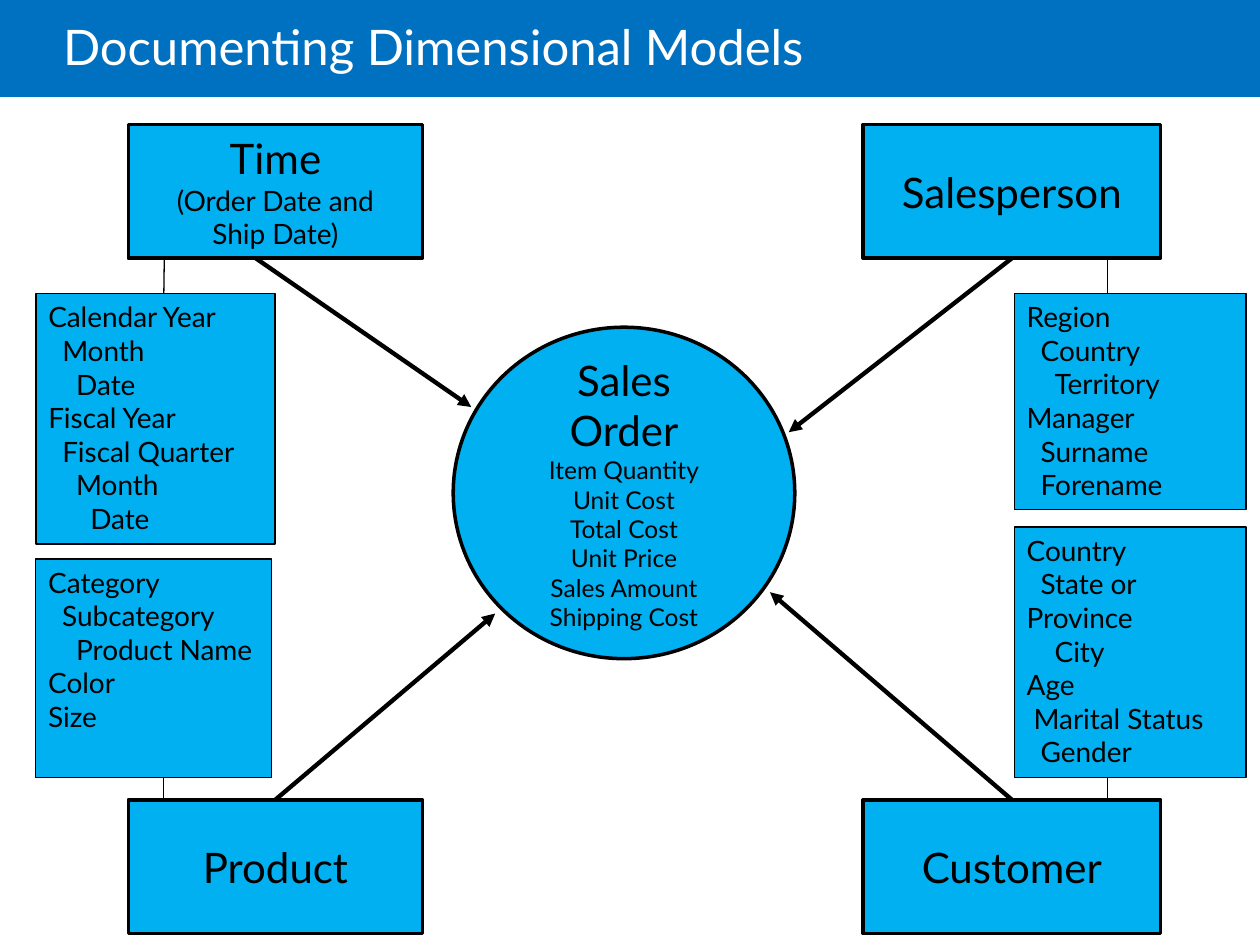
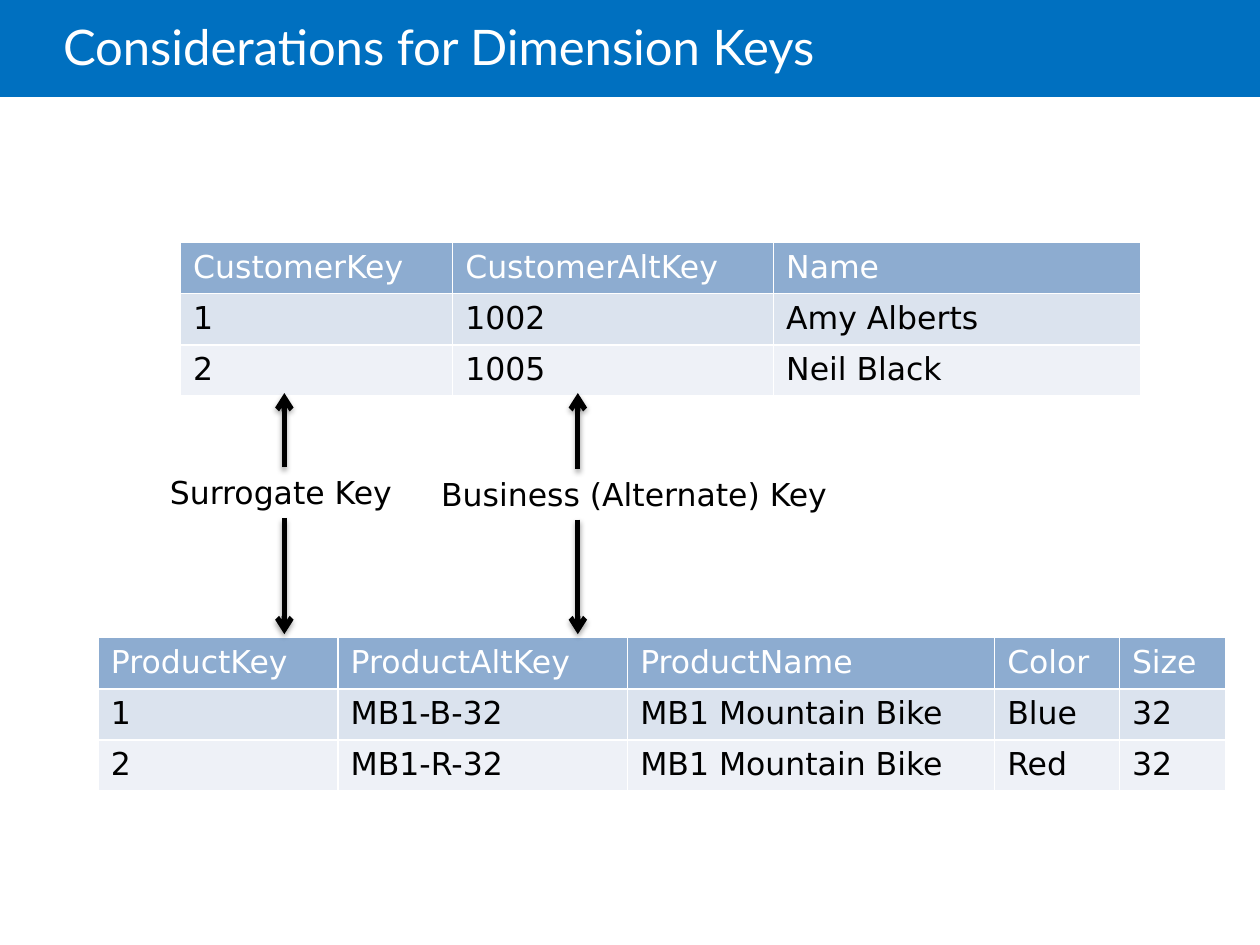
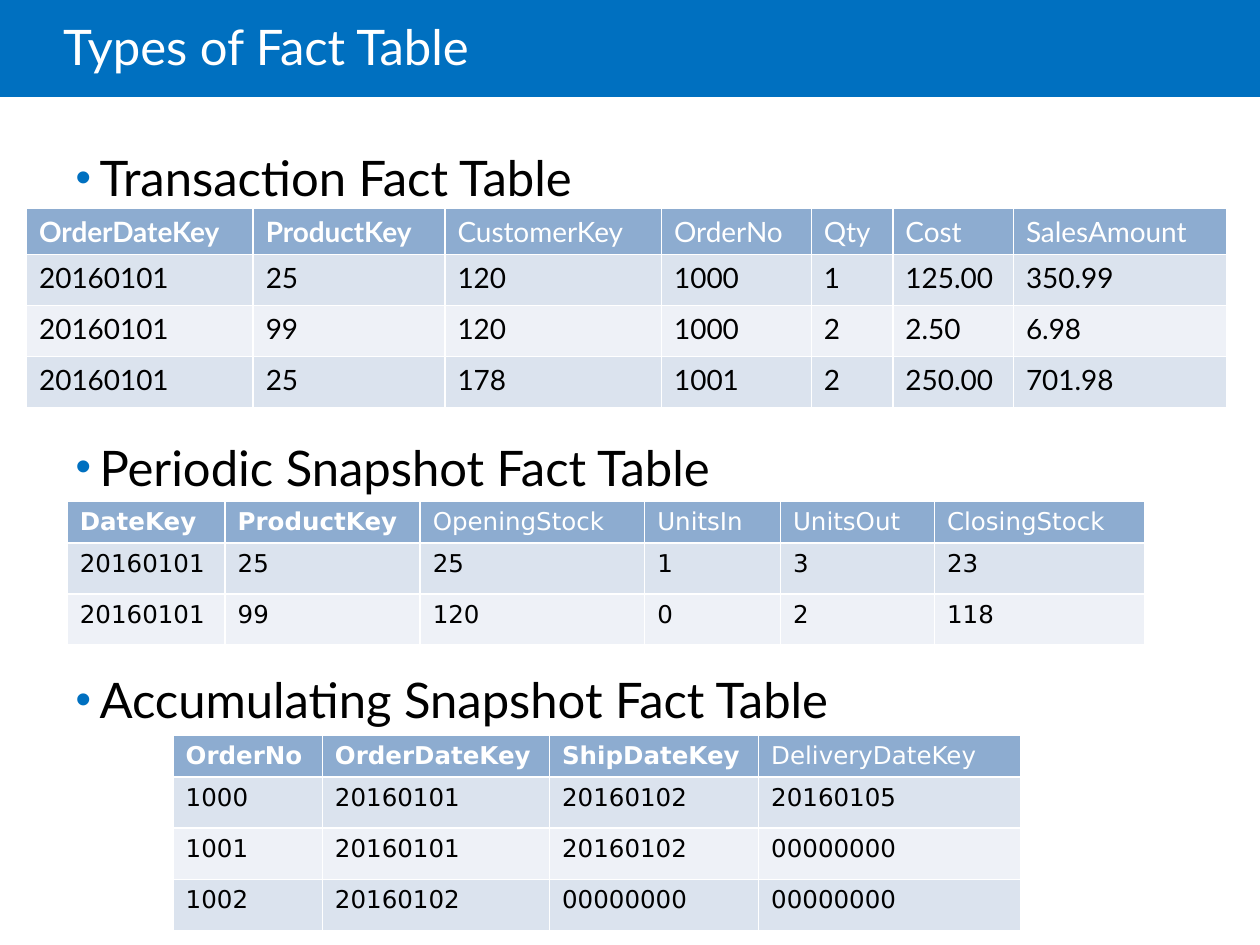
"""Build three slides on dimensional models, dimension keys and fact tables."""
from dataclasses import dataclass

from lxml.etree import SubElement
from pptx import Presentation
from pptx.dml.color import RGBColor
from pptx.enum.shapes import MSO_CONNECTOR, MSO_SHAPE
from pptx.enum.text import MSO_ANCHOR, MSO_AUTO_SIZE, PP_ALIGN
from pptx.oxml.ns import qn
from pptx.util import Pt

TOP, BOTTOM = 0, 2
TITLE_AND_BODY, TITLE_ONLY = 1, 5


@dataclass(frozen=True)
class Theme:
    """Hold the colours, fonts and type sizes of the deck."""
    band: RGBColor = RGBColor.from_string("0070C0")
    box: RGBColor = RGBColor.from_string("00B0F0")
    ink: RGBColor = RGBColor.from_string("000000")
    paper: RGBColor = RGBColor.from_string("FFFFFF")
    header: RGBColor = RGBColor.from_string("8DACD0")
    stripes: tuple = (RGBColor.from_string("DBE3EE"), RGBColor.from_string("EEF1F7"))
    main_font: str = "Lato"
    table_font: str = "DejaVu Sans"
    title: int = 28
    entity: int = 24
    label: int = 18
    attribute: int = 16
    small: int = 14


THEME = Theme()


def write(frame, text, size, font=THEME.main_font, color=THEME.ink, bold=False,
          align=PP_ALIGN.LEFT, before=0, spacing=1.0, margin=0, indent=0, bullet=None):
    """Write a paragraph into the frame, filling its first one when it is empty."""
    para = frame.paragraphs[0] if not frame.text else frame.add_paragraph()
    para.alignment, para.line_spacing, para.space_before = align, spacing, Pt(before)
    span = para.add_run()
    span.text = text
    span.font.name, span.font.size, span.font.bold = font, Pt(size), bold
    span.font.color.rgb = color
    properties = para._p.get_or_add_pPr()
    properties.set("marL", str(Pt(margin)))
    properties.set("indent", str(Pt(indent)))
    if bullet:
        bullet_color = SubElement(properties, qn("a:buClr"))
        SubElement(bullet_color, qn("a:srgbClr"), val=str(THEME.band))
        SubElement(properties, qn("a:buSzPct"), val="90000")
        SubElement(properties, qn("a:buFont"), typeface="Arial")
        SubElement(properties, qn("a:buChar"), char=bullet)


class Slides:
    """Hold the theme, the deck and the current page, and draw on it."""

    def __init__(self, theme):
        """Start an empty deck."""
        self.theme = theme
        self.deck = Presentation()
        self.deck.slide_width, self.deck.slide_height = Pt(720), Pt(540)
        self.page = None

    def add_band(self):
        """Move a title band to the master, behind every page."""
        band = self.page.shapes.add_shape(MSO_SHAPE.RECTANGLE, 0, 0, Pt(720), Pt(55.4))
        band.shadow.inherit = False
        band.fill.solid()
        band.fill.fore_color.rgb = self.theme.band
        band.line.fill.background()
        self.deck.slide_master.shapes.element.insert(2, band.element)

    def place(self, shape, left, top, width, height):
        """Move a placeholder and return its cleared text frame."""
        shape.left, shape.top = Pt(left), Pt(top)
        shape.width, shape.height = Pt(width), Pt(height)
        frame = shape.text_frame
        frame.auto_size, frame.word_wrap = MSO_AUTO_SIZE.NONE, True
        return frame

    def add_page(self, title, layout=TITLE_ONLY):
        """Start a page with its title."""
        first = self.page is None
        self.page = self.deck.slides.add_slide(self.deck.slide_layouts[layout])
        if first:
            self.add_band()
        frame = self.place(self.page.shapes.title, 36, 0, 612, 58.3)
        frame.margin_left, frame.vertical_anchor = 0, MSO_ANCHOR.MIDDLE
        write(frame, title, self.theme.title, color=self.theme.paper, spacing=0.85)

    def add_list(self, items, left, top, width, height):
        """Fill the body placeholder with bullets, each with its space before."""
        frame = self.place(self.page.placeholders[1], left, top, width, height)
        frame.vertical_anchor = MSO_ANCHOR.TOP
        for text, before in items:
            write(frame, text, self.theme.title, before=before,
                  margin=13.7, indent=-13.7, bullet="•")

    def add_box(self, left, top, width, height, kind=MSO_SHAPE.RECTANGLE, line=0.75, inset=7.2):
        """Add a filled, outlined shape."""
        box = self.page.shapes.add_shape(kind, Pt(left), Pt(top), Pt(width), Pt(height))
        box.shadow.inherit = False
        box.fill.solid()
        box.fill.fore_color.rgb = self.theme.box
        box.line.color.rgb = self.theme.ink
        box.line.width = Pt(line)
        frame = box.text_frame
        frame.word_wrap, frame.vertical_anchor = True, MSO_ANCHOR.TOP
        frame.margin_left = frame.margin_right = Pt(inset)
        return box

    def add_entity(self, name, details, place, detail_size, kind=MSO_SHAPE.RECTANGLE):
        """Add a centred name with smaller details below it."""
        box = self.add_box(*place, kind=kind, line=2, inset=14.4)
        box.text_frame.vertical_anchor = MSO_ANCHOR.MIDDLE
        write(box.text_frame, name, self.theme.entity, align=PP_ALIGN.CENTER)
        for detail in details:
            write(box.text_frame, detail, detail_size, align=PP_ALIGN.CENTER)
        return box

    def add_attributes(self, items, place):
        """Add a box of attributes, indented by their level."""
        box = self.add_box(*place)
        for text, level in items:
            write(box.text_frame, text, self.theme.attribute, indent=8 * level)

    def add_label(self, text, left, top, width, height):
        """Add a plain text label."""
        label = self.page.shapes.add_textbox(Pt(left), Pt(top), Pt(width), Pt(height))
        label.text_frame.word_wrap = True
        write(label.text_frame, text, self.theme.label, font=self.theme.table_font)
        return label

    def add_line(self, start, end, width=0.75, head=None, shadow=False, origin=None, site=None):
        """Add a straight line, with an optional head, shadow and joined origin."""
        line = self.page.shapes.add_connector(
            MSO_CONNECTOR.STRAIGHT, *(Pt(value) for value in (*start, *end)))
        if origin is not None:
            line.begin_connect(origin, site)
        line.line.color.rgb = self.theme.ink
        line.line.width = Pt(width)
        properties = line.element.spPr
        if head:
            SubElement(properties.find(qn("a:ln")), qn("a:tailEnd"), type=head)
        effects = SubElement(properties, qn("a:effectLst"))
        if shadow:
            outer = SubElement(effects, qn("a:outerShdw"), blurRad=str(Pt(3.1)),
                               dist=str(Pt(1.8)), dir="5400000", rotWithShape="0")
            color = SubElement(outer, qn("a:srgbClr"), val=str(self.theme.ink))
            SubElement(color, qn("a:alpha"), val="35000")

    def add_table(self, rows, left, top, widths, header_height, size,
                  font=THEME.table_font, keys=0):
        """Add a striped table whose first header cells, the keys, are bold."""
        row_height = 29.2
        height = header_height + row_height * (len(rows) - 1)
        table = self.page.shapes.add_table(
            len(rows), len(widths), Pt(left), Pt(top), Pt(sum(widths)), Pt(height)).table
        for column, width in zip(table.columns, widths):
            column.width = Pt(width)
        for row_index, values in enumerate(rows):
            is_header = row_index == 0
            table.rows[row_index].height = Pt(header_height if is_header else row_height)
            fill = self.theme.header if is_header else self.theme.stripes[(row_index - 1) % 2]
            color = self.theme.paper if is_header else self.theme.ink
            for column_index, value in enumerate(values):
                cell = table.cell(row_index, column_index)
                write(cell.text_frame, value, size, font=font, color=color,
                      bold=is_header and column_index < keys)
                self.add_borders(cell)
                cell.fill.solid()
                cell.fill.fore_color.rgb = fill

    def add_borders(self, cell):
        """Draw a thin border on each side of a cell."""
        properties = cell._tc.get_or_add_tcPr()
        for side in ("a:lnL", "a:lnR", "a:lnT", "a:lnB"):
            border = SubElement(properties, qn(side), w=str(Pt(1)))
            fill = SubElement(border, qn("a:solidFill"))
            SubElement(fill, qn("a:srgbClr"), val=str(self.theme.paper))


def build_models(slides):
    """Draw the sales order and its four dimensions."""
    slides.add_page("Documenting Dimensional Models")
    for start, end in (((94.3, 118), (93.6, 168.5)), ((93.6, 427), (93.6, 504.7)),
                       ((632.9, 123.8), (632.9, 168)), ((632.9, 421.2), (632.9, 465))):
        slides.add_line(start, end)
    measures = ("Item Quantity", "Unit Cost", "Total Cost", "Unit Price",
                "Sales Amount", "Shipping Cost")
    slides.add_entity("Sales Order", measures, (259, 187, 195.2, 189.4),
                      THEME.small, MSO_SHAPE.OVAL)
    left, right, upper, lower, height = (73.4, 168), (493.2, 170), 71.2, 457, 76.4
    entities = (
        ("Time", ("(Order Date and Ship Date)",), left, upper, (269.3, 232.6)),
        ("Salesperson", (), right, upper, (450.7, 247)),
        ("Product", (), left, lower, (283, 350.6)),
        ("Customer", (), right, lower, (440, 338.4)),
    )
    for name, details, (edge, width), top, end in entities:
        box = slides.add_entity(name, details, (edge, top, width, height), THEME.attribute)
        if name == "Time":
            slides.add_line((146.2, upper + height), end, 2.5, "triangle")
        else:
            site = BOTTOM if top == upper else TOP
            slides.add_line((edge, top), end, 2.5, "triangle", origin=box, site=site)
    slides.add_attributes(
        (("Calendar Year", 0), ("Month", 1), ("Date", 2), ("Fiscal Year", 0),
         ("Fiscal Quarter", 1), ("Month", 2), ("Date", 3)), (20.5, 167.8, 136.6, 143))
    slides.add_attributes(
        (("Category", 0), ("Subcategory", 1), ("Product Name", 2), ("Color", 0), ("Size", 0)),
        (20.5, 319.4, 134.6, 124.8))
    slides.add_attributes(
        (("Region", 0), ("Country", 1), ("Territory", 2), ("Manager", 0),
         ("Surname", 1), ("Forename", 1)), (579.6, 167.8, 132.4, 123.6))
    slides.add_attributes(
        (("Country", 0), ("State or Province", 1), ("City", 2), ("Age", 0),
         ("Marital Status", 0.5), ("Gender", 1)), (579.6, 301.2, 132.4, 143))


def build_keys(slides):
    """Draw two dimension tables and name their keys."""
    slides.add_page("Considerations for Dimension Keys")
    slides.add_table(
        (("ProductKey", "ProductAltKey", "ProductName", "Color", "Size"),
         ("1", "MB1-B-32", "MB1 Mountain Bike", "Blue", "32"),
         ("2", "MB1-R-32", "MB1 Mountain Bike", "Red", "32")),
        56.2, 364.4, (137, 165.5, 209.7, 71.3, 60.6), 29.2, THEME.label)
    slides.add_table(
        (("CustomerKey", "CustomerAltKey", "Name"),
         ("1", "1002", "Amy Alberts"),
         ("2", "1005", "Neil Black")),
        103.2, 138.6, (155.5, 183.4, 209.7), 29.2, THEME.label)
    surrogate = slides.add_label("Surrogate Key", 90, 267, 145, 29)
    slides.add_label("Business (Alternate) Key", 245, 268, 245.5, 29)
    for site, end in ((TOP, 224.6), (BOTTOM, 362.4)):
        slides.add_line((162.5, 267), (162.5, end), 3, "arrow", True, surrogate, site)
    for start, end in ((268, 224.6), (297, 362.4)):
        slides.add_line((330.2, start), (330.2, end), 3, "arrow", True)


def build_facts(slides):
    """List the types of fact table, each with an example."""
    slides.add_page("Types of Fact Table", TITLE_AND_BODY)
    slides.add_list((("Transaction Fact Table", 6), ("Periodic Snapshot Fact Table", 132),
                     ("Accumulating Snapshot Fact Table", 99)), 36, 80.6, 639.4, 405.4)
    slides.add_table(
        (("OrderDateKey", "ProductKey", "CustomerKey", "OrderNo", "Qty", "Cost", "SalesAmount"),
         ("20160101", "25", "120", "1000", "1", "125.00", "350.99"),
         ("20160101", "99", "120", "1000", "2", "2.50", "6.98"),
         ("20160101", "25", "178", "1001", "2", "250.00", "701.98")),
        15.2, 119, (129.5, 109.6, 123.8, 85.6, 46.6, 68.9, 122), 26.2,
        THEME.attribute, THEME.main_font, keys=2)
    slides.add_table(
        (("DateKey", "ProductKey", "OpeningStock", "UnitsIn", "UnitsOut", "ClosingStock"),
         ("20160101", "25", "25", "1", "3", "23"),
         ("20160101", "99", "120", "0", "2", "118")),
        38.4, 286.6, (90.2, 111.5, 128.3, 77.6, 88, 120), 23.6, THEME.small, keys=2)
    slides.add_table(
        (("OrderNo", "OrderDateKey", "ShipDateKey", "DeliveryDateKey"),
         ("1000", "20160101", "20160102", "20160105"),
         ("1001", "20160101", "20160102", "00000000"),
         ("1002", "20160102", "00000000", "00000000")),
        98.9, 420.4, (85.3, 129.8, 119.5, 149.6), 23.6, THEME.small, keys=3)


def main():
    """Build the pages and save the deck."""
    slides = Slides(THEME)
    for build in (build_models, build_keys, build_facts):
        build(slides)
    slides.deck.save("out.pptx")


if __name__ == "__main__":
    main()
